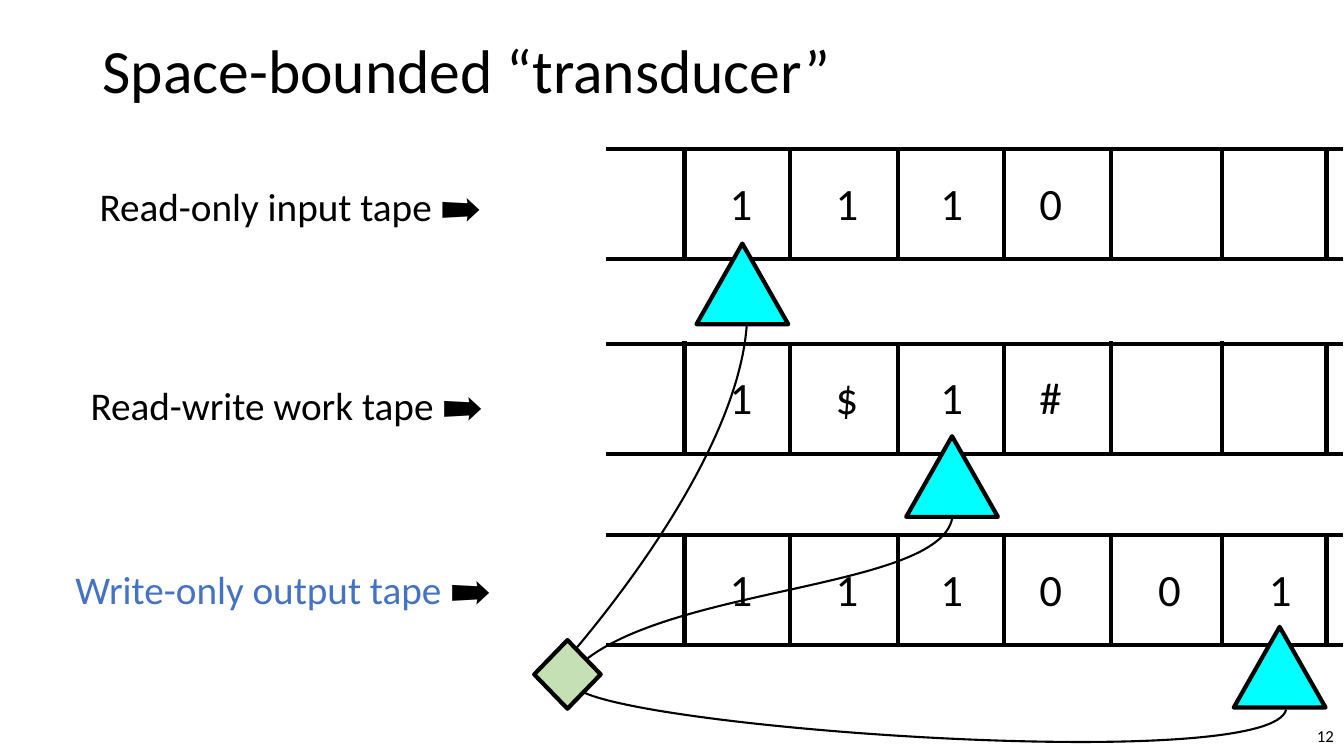
from lxml import etree
from pptx import Presentation
from pptx.dml.color import RGBColor
from pptx.enum.shapes import MSO_CONNECTOR, MSO_SHAPE
from pptx.enum.text import MSO_ANCHOR, PP_ALIGN
from pptx.oxml.ns import qn
from pptx.util import Pt

LINE = MSO_CONNECTOR.STRAIGHT
TRIANGLE, DIAMOND = MSO_SHAPE.ISOSCELES_TRIANGLE, MSO_SHAPE.DIAMOND
LEFT, CENTER, RIGHT = PP_ALIGN.LEFT, PP_ALIGN.CENTER, PP_ALIGN.RIGHT
TOP, MIDDLE = MSO_ANCHOR.TOP, MSO_ANCHOR.MIDDLE

FONT = "Calibri"
COLORS = {"black": "000000", "blue": "4472C4", "cyan": "00FFFF", "green": "C5E0B4"}

TAPE_LEFT, TAPE_RIGHT, TAPE_HEIGHT = 432.8, 959, 78.5
# Horizontal place of each cell border, and how far it is raised
BORDERS = [(489, 1.8), (564.5, 0), (641.5, 0), (717, 0), (793.5, 1.8), (872.7, 1.8), (947.5, 0)]
SYMBOL_LEFTS = [508.3, 584, 658.8, 729.5, 814.3, 893.5]

# Tape top, symbols, left and top of the head
TAPES = [
    (106.5, "1110", 497.5, 174),
    (245.6, "1$1#", 647.3, 311.6),
    (382.3, "111001", 881.3, 447.8),
]
# Parts, left, top, width
LABELS = [
    ([("Read-only input tape ➡", "black")], 64.1, 126.7, 308.2),
    ([("Read-write work tape ➡", "black")], 57.6, 268.6, 309.6),
    ([("Write-only output tape ", "blue"), ("➡", "black")], 46.8, 400.3, 327.6),
]
# Start, two control points and end of each wire, and its full height
WIRES = [
    ([(533.5, 231.1), (528.5, 309.6), (457.9, 408.2), (411.1, 463.7)], 232.6),
    ([(680.4, 368.6), (674.6, 419.8), (488.9, 418.3), (419.8, 470.2)], 101.6),
    ([(918.7, 506.9), (908.6, 551.5), (478.8, 522.7), (416.9, 494.6)], 35.3),
]


def rgb(name):
    return RGBColor.from_string(COLORS[name])


def format_run(r, size, color="black"):
    r.font.name = FONT
    r.font.size = Pt(size)
    r.font.color.rgb = rgb(color)


def add_text(s, parts, left, top, width, height, size, align=LEFT, anchor=TOP):
    """Add a one-paragraph text box from (text, colour) parts."""
    tf = s.shapes.add_textbox(Pt(left), Pt(top), Pt(width), Pt(height)).text_frame
    tf.word_wrap = True
    tf.vertical_anchor = anchor
    p = tf.paragraphs[0]
    p.alignment = align
    for text, color in parts:
        r = p.add_run()
        r.text = text
        format_run(r, size, color)


def add_title(s, text):
    sp = s.shapes.title
    sp.left, sp.top, sp.width, sp.height = Pt(66), Pt(0), Pt(828), Pt(104.4)
    tf = sp.text_frame
    tf.text = text
    tf.vertical_anchor = MIDDLE
    p = tf.paragraphs[0]
    p.alignment = LEFT
    p.line_spacing = 0.9
    format_run(p.runs[0], 44)


def add_line(s, x1, y1, x2, y2):
    line = s.shapes.add_connector(LINE, Pt(x1), Pt(y1), Pt(x2), Pt(y2))
    line.line.color.rgb = rgb("black")
    line.line.width = Pt(3)
    etree.SubElement(line._element.spPr, qn("a:effectLst"))


def add_node(s, preset, left, top, width, height, fill):
    sp = s.shapes.add_shape(preset, Pt(left), Pt(top), Pt(width), Pt(height))
    sp.shadow.inherit = False
    sp.fill.solid()
    sp.fill.fore_color.rgb = rgb(fill)
    sp.line.color.rgb = rgb("black")
    sp.line.width = Pt(3)


def add_wire(s, controls, height):
    """Draw one cubic curve; its box starts at the leftmost and topmost end."""
    points = [(Pt(x), Pt(y)) for x, y in controls]
    builder = s.shapes.build_freeform(*points[0])
    builder.add_line_segments(points[-1:], close=False)
    sp = builder.convert_to_shape()
    outline = sp._element.spPr.find(".//" + qn("a:path"))
    outline.remove(outline.find(qn("a:lnTo")))
    curve = etree.SubElement(outline, qn("a:cubicBezTo"))
    for x, y in points[1:]:
        etree.SubElement(curve, qn("a:pt"), x=str(x - sp.left), y=str(y - sp.top))
    sp.height = Pt(height)
    outline.set("h", str(Pt(height)))
    sp.shadow.inherit = False
    sp.fill.background()
    sp.line.color.rgb = rgb("black")
    sp.line.width = Pt(1.5)


def add_tape(s, top, symbols, head_left, head_top):
    for x, rise in BORDERS:
        add_line(s, x, top - rise, x, top - rise + TAPE_HEIGHT + 1)
    for y in (top, top + TAPE_HEIGHT):
        add_line(s, TAPE_LEFT, y, TAPE_RIGHT, y)
    for symbol, left in zip(symbols, SYMBOL_LEFTS):
        add_text(s, [(symbol, "black")], left, top + 15.2, 42, 46, 32, CENTER)
    add_node(s, TRIANGLE, head_left, head_top, 65.5, 57.6, "cyan")


def main():
    prs = Presentation()
    prs.slide_width, prs.slide_height = Pt(960), Pt(540)
    s = prs.slides.add_slide(prs.slide_layouts[5])
    add_title(s, "Space-bounded “transducer”")
    add_text(s, [("12", "black")], 743.8, 511.2, 216, 28.8, 12, RIGHT, MIDDLE)
    for controls, height in WIRES:
        add_wire(s, controls, height)
    add_node(s, DIAMOND, 381.6, 457.2, 47.5, 49, "green")
    for parts, left, top, width in LABELS:
        add_text(s, parts, left, top, width, 41, 28)
    for tape in TAPES:
        add_tape(s, *tape)
    prs.save("out.pptx")


if __name__ == "__main__":
    main()
